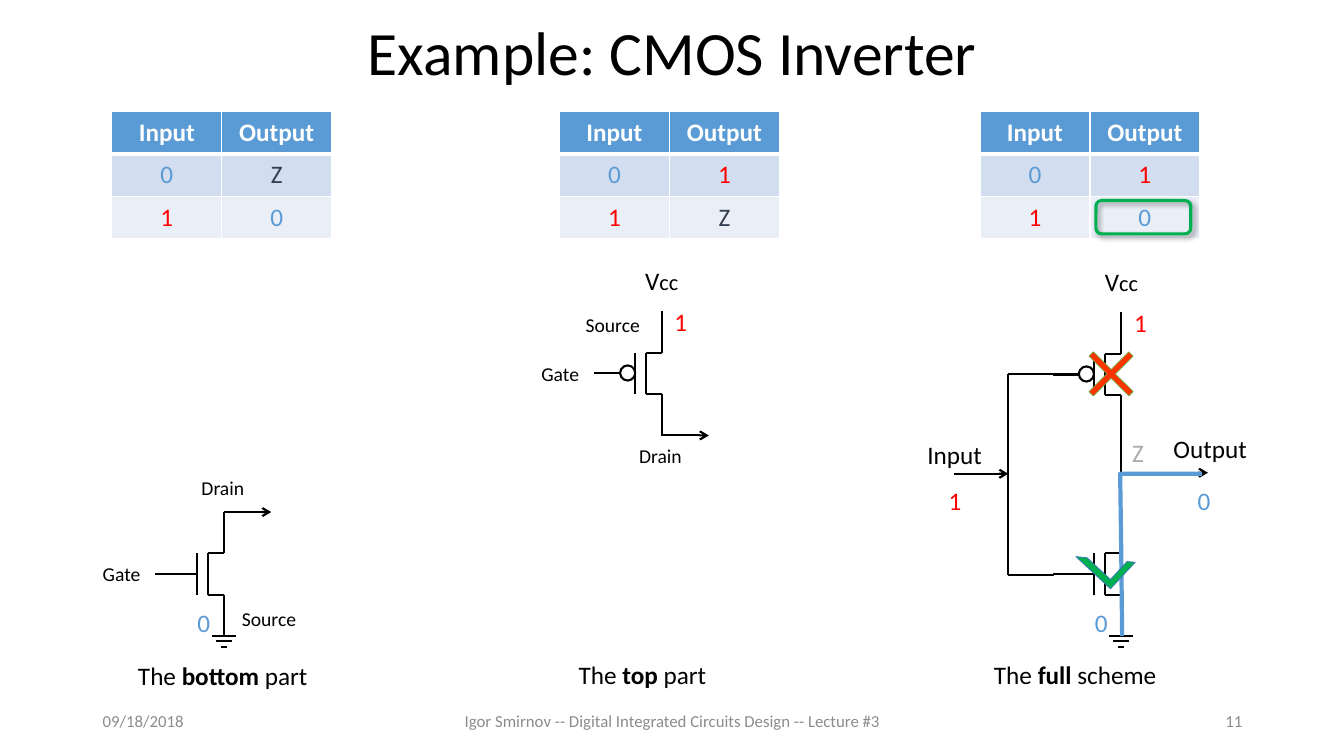
"""Build the CMOS inverter example slide."""
from dataclasses import dataclass
from typing import Any, NamedTuple

from lxml.etree import SubElement
from pptx import Presentation
from pptx.dml.color import RGBColor
from pptx.enum.shapes import MSO_CONNECTOR as Link, MSO_SHAPE as Preset
from pptx.enum.text import MSO_ANCHOR as Anchor, MSO_AUTO_SIZE as AutoSize, PP_ALIGN as Align
from pptx.oxml.ns import qn
from pptx.util import Inches, Pt

BLACK, WHITE, RED, BLUE, GREEN = "000000", "FFFFFF", "FF0000", "5B9BD5", "00B050"
GRAY, SLATE, SILVER = "8C8C8C", "333F50", "AFABAB"
LEVEL_COLORS = {"0": BLUE, "1": RED, "Z": SLATE}
ROW_FILLS = (BLUE, "D2DEEF", "EAEFF7")
ARM, STUB, GAP = 0.41, 0.16, 0.11


class Run(NamedTuple):
    text: str
    size: float = 18
    color: str = BLACK
    bold: bool = False


class Wire(NamedTuple):
    x1: float
    y1: float
    x2: float
    y2: float
    arrow: bool = False


@dataclass
class Label:
    left: float
    top: float
    width: float
    runs: tuple[Run, ...]
    height: float = 0.4


@dataclass
class Banner:
    left: float
    top: float
    width: float
    height: float
    run: Run
    align: Align
    spacing: float = 1.0


@dataclass
class TruthTable:
    left: float
    outputs: tuple[str, str]


@dataclass
class Transistor:
    left: float
    top: float
    inverted: bool = False


def rgb(color: str) -> RGBColor:
    return RGBColor.from_string(color)


def apply(target: Any, values: dict[str, Any]) -> None:
    for name, value in values.items():
        setattr(target, name, value)


def add_run(paragraph: Any, run: Run) -> None:
    piece = paragraph.add_run()
    piece.text = run.text
    apply(piece.font, {"name": "Calibri", "size": Pt(run.size), "bold": run.bold})
    piece.font.color.rgb = rgb(run.color)


def draw_label(slide: Any, label: Label) -> None:
    box = slide.shapes.add_textbox(*map(Inches, (label.left, label.top, label.width, label.height)))
    apply(box.text_frame, {"word_wrap": False, "auto_size": AutoSize.SHAPE_TO_FIT_TEXT})
    for run in label.runs:
        add_run(box.text_frame.paragraphs[0], run)


def draw_banner(slide: Any, banner: Banner) -> None:
    box = slide.shapes.add_textbox(*map(Inches, (banner.left, banner.top, banner.width, banner.height)))
    apply(box.text_frame, {"word_wrap": True, "vertical_anchor": Anchor.MIDDLE})
    paragraph = box.text_frame.paragraphs[0]
    apply(paragraph, {"alignment": banner.align, "line_spacing": banner.spacing})
    add_run(paragraph, banner.run)


def draw_wire(slide: Any, wire: Wire) -> None:
    link = slide.shapes.add_connector(Link.STRAIGHT, *map(Inches, wire[:4]))
    link.line.color.rgb = rgb(BLACK)
    link.line.width = Pt(1.5)
    if wire.arrow:
        SubElement(link.line._get_or_add_ln(), qn("a:tailEnd"), type="arrow")
    SubElement(link._element.spPr, qn("a:effectLst"))


def draw_shape(slide: Any, preset: Preset, place: tuple[float, ...], fill: str | None,
               line: str, weight: float, adjust: tuple[float, ...] = (), turn: float = 0) -> Any:
    shape = slide.shapes.add_shape(preset, *map(Inches, place))
    shape.shadow.inherit = False
    shape.rotation = turn
    if fill:
        shape.fill.solid()
        shape.fill.fore_color.rgb = rgb(fill)
    else:
        shape.fill.background()
    shape.line.color.rgb = rgb(line)
    shape.line.width = Pt(weight)
    for index, value in enumerate(adjust):
        shape.adjustments[index] = value
    return shape


def add_border(cell: Any, side: str, weight: float) -> None:
    edge = SubElement(cell._tc.get_or_add_tcPr(), qn(f"a:ln{side}"), w=str(Pt(weight)))
    SubElement(SubElement(edge, qn("a:solidFill")), qn("a:srgbClr"), val=WHITE)


def draw_table(slide: Any, truth: TruthTable) -> None:
    rows = (("Input", "Output"), *zip("01", truth.outputs))
    table = slide.shapes.add_table(3, 2, *map(Inches, (truth.left, 1.11, 2.18, 1.26))).table
    table.horz_banding = False
    for r, row in enumerate(rows):
        for c, text in enumerate(row):
            cell = table.cell(r, c)
            weights = {"L": 1, "R": 1, "T": 3 if r == 1 else 1, "B": 3 if r == 0 else 1}
            for side, weight in weights.items():
                add_border(cell, side, weight)
            cell.fill.solid()
            cell.fill.fore_color.rgb = rgb(ROW_FILLS[r])
            cell.vertical_anchor = Anchor.MIDDLE
            paragraph = cell.text_frame.paragraphs[0]
            paragraph.alignment = Align.CENTER
            add_run(paragraph, Run(text, 18, LEVEL_COLORS.get(text, WHITE), r == 0))


def draw_transistor(slide: Any, device: Transistor) -> None:
    x, y = device.left, device.top
    drain, plate, base, middle = x + STUB, x - GAP, y + ARM, y + ARM / 2
    for wire in (Wire(x, y, x, base), Wire(x, y, drain, y), Wire(x, base, drain, base),
                 Wire(drain, y - ARM, drain, y), Wire(drain, base, drain, base + ARM),
                 Wire(plate, y, plate, base), Wire(plate, middle, plate - ARM, middle)):
        draw_wire(slide, wire)
    if device.inverted:
        draw_shape(slide, Preset.OVAL, (plate - 0.15, middle - 0.08, 0.15, 0.15), WHITE, BLACK, 1.5)


def draw_ground(slide: Any, center: float) -> None:
    for half, y in ((0.12, 6.31), (0.08, 6.36), (0.03, 6.42)):
        draw_wire(slide, Wire(center - half, y, center + half, y))


def draw_current(slide: Any) -> None:
    points = [(Inches(x), Inches(y)) for x, y in ((11.13, 6.31), (11.12, 5.4), (11.11, 4.7), (11.92, 4.7))]
    builder = slide.shapes.build_freeform(*points[0])
    builder.add_line_segments(points[1:], close=False)
    current = builder.convert_to_shape()
    current.shadow.inherit = False
    current.fill.background()
    current.line.color.rgb = rgb(BLUE)
    current.line.width = Pt(3)


def draw_highlight(slide: Any) -> None:
    frame = draw_shape(slide, Preset.ROUNDED_RECTANGLE, (10.87, 1.99, 0.94, 0.33), None, GREEN, 2.25)
    effects = frame._element.spPr.find(qn("a:effectLst"))
    shadow = SubElement(effects, qn("a:outerShdw"), blurRad=str(Pt(4)), dist=str(Pt(3)),
                        dir="2700000", algn="tl", rotWithShape="0")
    SubElement(SubElement(shadow, qn("a:srgbClr"), val=BLACK), qn("a:alpha"), val="40000")


def level(left: float, top: float, text: str, color: str = "") -> Label:
    return Label(left, top, 0.33, (Run(text, 18, color or LEVEL_COLORS[text]),))


def pin(left: float, top: float, width: float, text: str) -> Label:
    return Label(left, top, width, (Run(text, 14),), 0.34)


def supply(left: float, top: float) -> Label:
    return Label(left, top, 0.54, (Run("V"), Run("cc", 16)))


def caption(left: float, top: float, width: float, part: str, noun: str) -> Label:
    return Label(left, top, width, (Run("The "), Run(f"{part} ", bold=True), Run(noun)))


BANNERS = (
    Banner(0.92, 0, 11.5, 1.1, Run("Example: CMOS Inverter", 44), Align.CENTER, 0.9),
    Banner(0.92, 6.95, 3, 0.4, Run("09/18/2018", 12, GRAY), Align.LEFT),
    Banner(4.42, 6.95, 4.5, 0.4, Run("Igor Smirnov -- Digital Integrated Circuits Design -- Lecture #3", 12, GRAY),
           Align.CENTER),
    Banner(9.42, 6.95, 3, 0.4, Run("11", 12, GRAY), Align.RIGHT))
TABLES = (TruthTable(1.11, ("Z", "0")), TruthTable(5.55, ("1", "Z")), TruthTable(9.72, ("1", "0")))
TRANSISTORS = (Transistor(2.06, 5.49), Transistor(6.41, 3.5, True),
               Transistor(10.96, 5.49), Transistor(10.96, 3.51, True))
WIRES = (Wire(2.22, 5.08, 2.69, 5.08, True), Wire(6.56, 4.32, 7.03, 4.32, True),
         Wire(10.45, 5.7, 10, 5.7), Wire(10.45, 3.71, 10, 3.71), Wire(10, 3.71, 10, 5.7),
         Wire(9.46, 4.7, 10, 4.7, True), Wire(11.11, 4.69, 11.98, 4.69, True), Wire(11.12, 4.32, 11.12, 5.08))
LABELS = (
    pin(0.92, 5.53, 0.59, "Gate"), pin(1.9, 4.67, 0.63, "Drain"), pin(2.3, 5.97, 0.77, "Source"),
    pin(5.27, 3.54, 0.59, "Gate"), pin(6.24, 4.35, 0.63, "Drain"), pin(5.71, 3.06, 0.77, "Source"),
    supply(6.3, 2.58), supply(10.86, 2.59), level(1.86, 5.98, "0"), level(6.59, 2.99, "1"),
    level(10.76, 5.98, "0"), level(11.15, 3, "1"), level(9.31, 4.77, "1"), level(11.78, 4.77, "0"),
    level(11.13, 4.29, "Z", SILVER), Label(9.1, 4.31, 0.75, (Run("Input"),)), Label(11.54, 4.25, 0.95, (Run("Output"),)),
    caption(1.27, 6.5, 1.91, "bottom", "part"), caption(5.64, 6.49, 1.54, "top", "part"),
    caption(9.76, 6.49, 1.89, "full", "scheme"))


def main() -> None:
    deck = Presentation()
    apply(deck, {"slide_width": Inches(13.33), "slide_height": Inches(7.5)})
    slide = deck.slides.add_slide(deck.slide_layouts[6])
    for draw, items in ((draw_banner, BANNERS), (draw_table, TABLES), (draw_transistor, TRANSISTORS),
                        (draw_ground, (2.22, 11.12)), (draw_wire, WIRES), (draw_label, LABELS)):
        for item in items:
            draw(slide, item)
    draw_shape(slide, Preset.MATH_MULTIPLY, (10.64, 3.33, 0.76, 0.76), "FF3300", "70AD47", 0.5, (0.08,))
    draw_current(slide)
    draw_shape(slide, Preset.HALF_FRAME, (10.73, 5.37, 0.47, 0.36), GREEN, "4472C4", 0.5, (0.19, 0.18), 222.9)
    draw_highlight(slide)
    deck.save("out.pptx")


if __name__ == "__main__":
    main()
